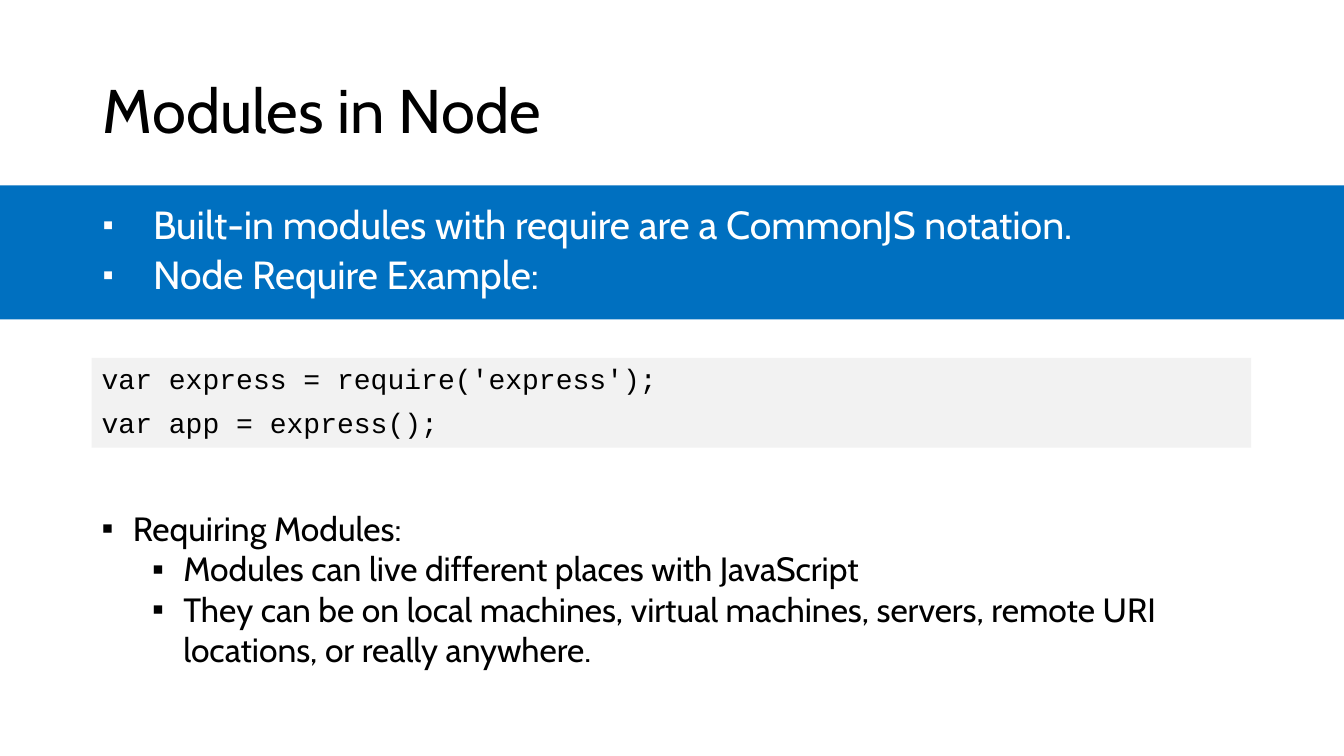
from dataclasses import dataclass

import pptx
import pptx.dml.color
import pptx.enum.shapes
import pptx.enum.text
import pptx.util
from lxml import etree
from pptx.oxml.ns import qn

Inches = pptx.util.Inches
Pt = pptx.util.Pt
ANCHOR = pptx.enum.text.MSO_ANCHOR


@dataclass(frozen=True)
class Theme:
    font: str = "Cabin"
    code_font: str = "Courier New"
    text: str = "000000"
    inverse: str = "FFFFFF"
    band: str = "0070C0"
    code_fill: str = "F2F2F2"
    title_size: int = 44
    lead_size: int = 28
    body_size: int = 24
    code_size: int = 20


THEME = Theme()


def rgb(color):
    return pptx.dml.color.RGBColor.from_string(color)


def box(left, top, width, height):
    return [Inches(n) for n in (left, top, width, height)]


def set_bullet(p, left, hanging, percent):
    """Give a paragraph a square bullet with a hanging indent."""
    pPr = p._p.get_or_add_pPr()
    pPr.set("marL", str(Inches(left)))
    pPr.set("indent", str(-Inches(hanging)))
    etree.SubElement(pPr, qn("a:buSzPct"), val=str(percent * 1000))
    etree.SubElement(pPr, qn("a:buFont"), typeface="Arial")
    etree.SubElement(pPr, qn("a:buChar"), char="▪")


def write(tf, lines, size, color=THEME.text, font=THEME.font,
          spacing=1.0, before=0, anchor=ANCHOR.MIDDLE):
    """Fill a text frame with one paragraph per line and return them."""
    tf.word_wrap = True
    tf.vertical_anchor = anchor
    for i, line in enumerate(lines):
        p = tf.add_paragraph() if i else tf.paragraphs[0]
        p.alignment = pptx.enum.text.PP_ALIGN.LEFT
        p.line_spacing = spacing
        p.space_before = Pt(before)
        r = p.add_run()
        r.text = line
        r.font.size = Pt(size)
        r.font.name = font
        r.font.color.rgb = rgb(color)
    return tf.paragraphs


def add_title(s, text):
    sp = s.shapes.title
    sp.left, sp.top, sp.width, sp.height = box(0.92, 0.4, 11.5, 1.45)
    sp.text_frame.auto_size = pptx.enum.text.MSO_AUTO_SIZE.NONE
    write(sp.text_frame, [text], THEME.title_size, spacing=0.9)


def add_panel(shapes, bounds, fill):
    sp = shapes.add_shape(pptx.enum.shapes.MSO_SHAPE.RECTANGLE, *bounds)
    sp.shadow.inherit = False
    sp.fill.solid()
    sp.fill.fore_color.rgb = rgb(fill)
    sp.line.fill.background()
    return sp


def add_lead_band(s, lines):
    group = s.shapes.add_group_shape()
    add_panel(group.shapes, box(0, 1.84, 13.33, 1.33), THEME.band)
    sp = group.shapes.add_textbox(*box(0.92, 2, 11.63, 1))
    for p in write(sp.text_frame, lines, THEME.lead_size, THEME.inverse,
                   spacing=0.9, before=0.2 * THEME.lead_size):
        set_bullet(p, 0.5, 0.5, 80)


def add_code(s, lines):
    sp = add_panel(s.shapes, box(0.91, 3.55, 11.5, 0.89), THEME.code_fill)
    write(sp.text_frame, lines, THEME.code_size, font=THEME.code_font,
          spacing=0.9, before=10)


def add_outline(s, heading, points):
    sp = s.shapes.add_textbox(*box(0.91, 4.99, 11.63, 1.72))
    paragraphs = write(sp.text_frame, [heading, *points], THEME.body_size,
                       anchor=ANCHOR.TOP)
    sp.text_frame.auto_size = pptx.enum.text.MSO_AUTO_SIZE.SHAPE_TO_FIT_TEXT
    for i, p in enumerate(paragraphs):
        p.level = min(i, 1)
        set_bullet(p, 0.31 + 0.5 * p.level, 0.31, 100)


def main():
    prs = pptx.Presentation()
    prs.slide_width, prs.slide_height = Inches(13.33), Inches(7.5)
    s = prs.slides.add_slide(prs.slide_layouts.get_by_name("Title Only"))
    add_title(s, "Modules in Node")
    add_lead_band(s, ["Built-in modules with require are a CommonJS notation.",
                      "Node Require Example:"])
    add_code(s, ["var express = require('express');",
                 "var app = express();"])
    add_outline(s, "Requiring Modules:", [
        "Modules can live different places with JavaScript",
        "They can be on local machines, virtual machines, servers, "
        "remote URI locations, or really anywhere."])
    prs.save("out.pptx")


if __name__ == "__main__":
    main()
